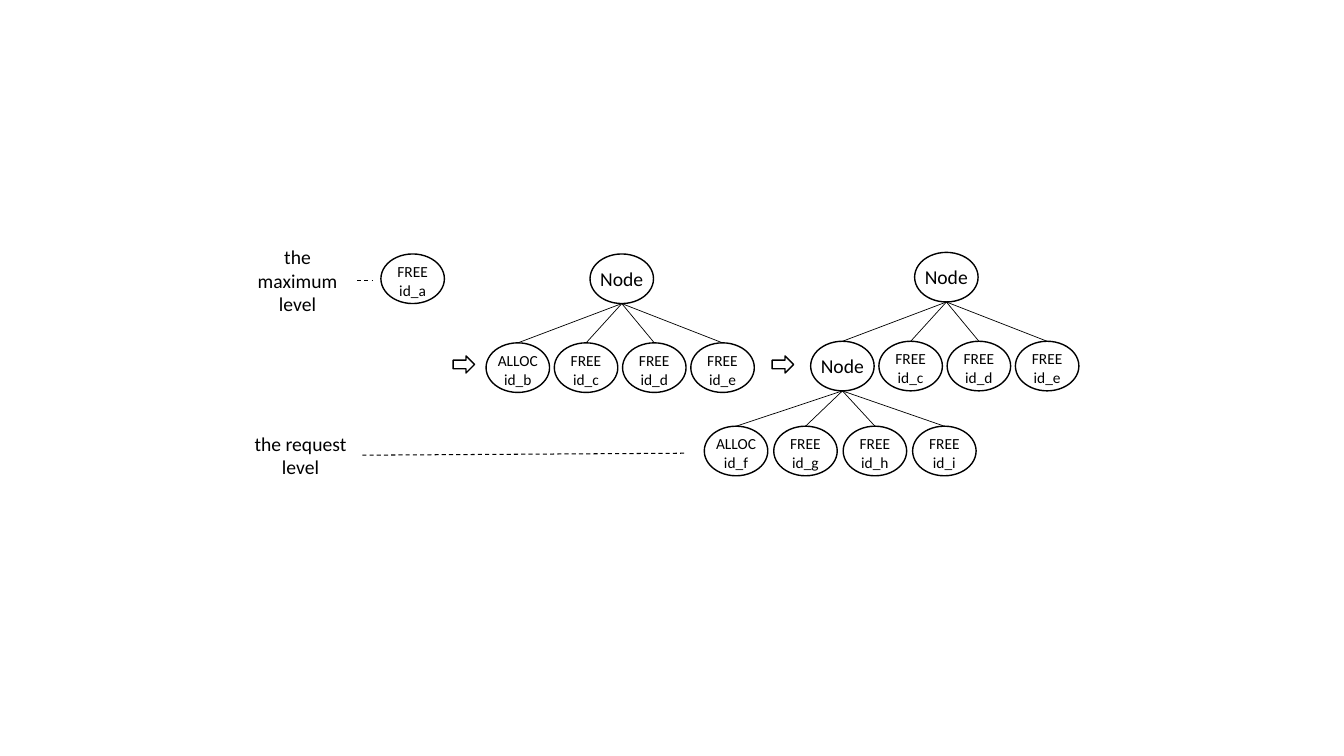
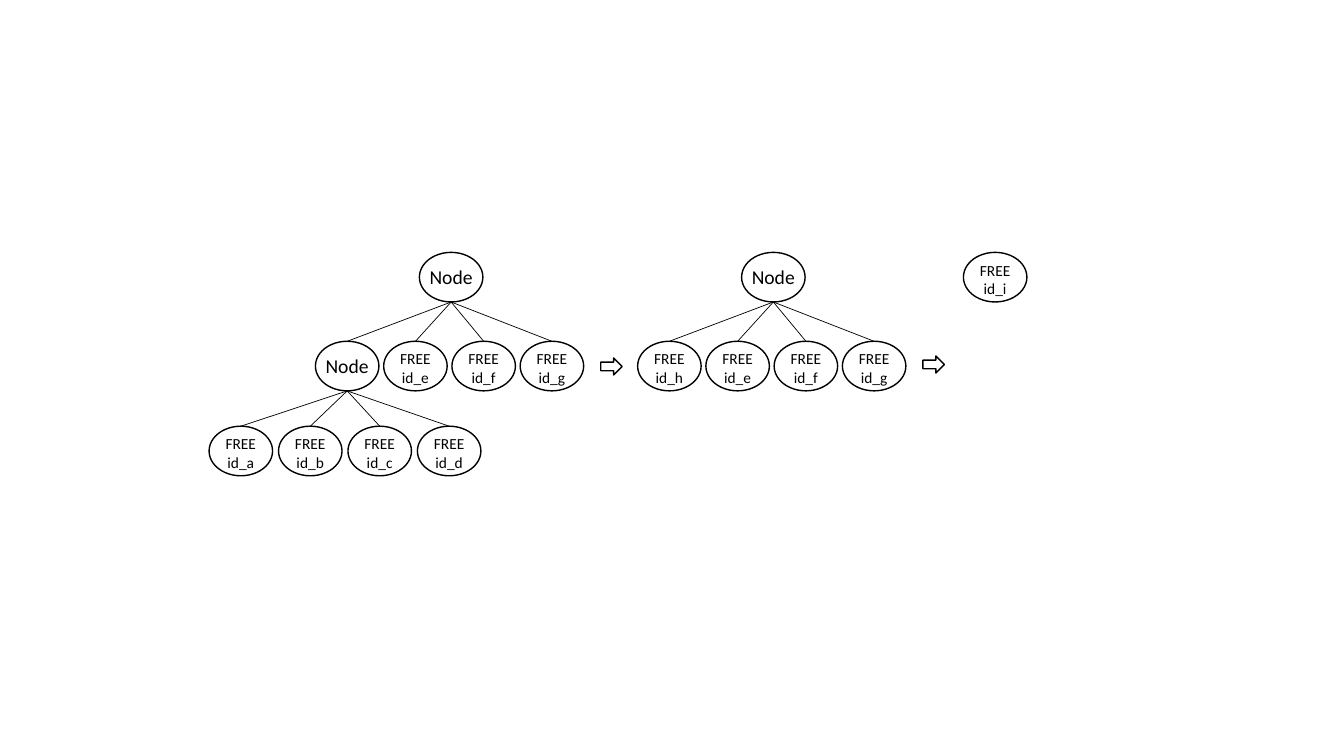
from pptx import Presentation
from pptx.dml.color import RGBColor
from pptx.enum import dml, shapes, text
from pptx.oxml.ns import qn
from pptx.util import Cm, Pt
from lxml import etree

BLACK = RGBColor(0, 0, 0)
WHITE = RGBColor(255, 255, 255)
FONT = "Calibri"
NODE_WIDTH, NODE_HEIGHT = 1.6, 1.25
ROOT_TOP = 6.36
ARROW_TOP = 8.97
NODE = "Node"
LEVELS = [
    {"drop": 2.24, "lead": 2.62, "pitch": 1.72},
    {"drop": 2.14, "lead": 2.68, "pitch": 1.75},
]


def write_text(shape, content, size):
    frame = shape.text_frame
    frame.text = content
    for paragraph in frame.paragraphs:
        paragraph.alignment = text.PP_ALIGN.CENTER
        for run in paragraph.runs:
            run.font.name = FONT
            run.font.size = Pt(size)
            run.font.color.rgb = BLACK
    return frame


def add_outlined(slide, kind, left, top, width, height):
    shape = slide.shapes.add_shape(kind, Cm(left), Cm(top), Cm(width), Cm(height))
    shape.shadow.inherit = False
    shape.fill.solid()
    shape.fill.fore_color.rgb = WHITE
    shape.line.color.rgb = BLACK
    shape.line.width = Pt(1)
    return shape


def add_node(slide, center, top, content):
    left = center - NODE_WIDTH / 2
    shape = add_outlined(slide, shapes.MSO_SHAPE.OVAL, left, top, NODE_WIDTH, NODE_HEIGHT)
    is_inner = content == NODE
    frame = write_text(shape, content, 14 if is_inner else 11)
    frame.word_wrap = False
    frame.vertical_anchor = text.MSO_ANCHOR.MIDDLE
    frame.margin_left = frame.margin_right = frame.margin_bottom = 0
    frame.margin_top = Cm(0 if is_inner else 0.1)


def add_line(slide, start, end, width, dashed=False):
    points = [Cm(value) for value in (*start, *end)]
    line = slide.shapes.add_connector(shapes.MSO_CONNECTOR.STRAIGHT, *points)
    line.line.color.rgb = BLACK
    line.line.width = Pt(width)
    if dashed:
        line.line.dash_style = dml.MSO_LINE.DASH
    etree.SubElement(line._element.spPr, qn("a:effectLst"))


def add_tree(slide, center, top, tree, depth=0):
    if isinstance(tree, str):
        add_node(slide, center, top, tree)
        return
    add_node(slide, center, top, NODE)
    level = LEVELS[depth]
    child_top = top + level["drop"]
    for index, child in enumerate(tree):
        child_center = center - level["lead"] + index * level["pitch"]
        add_line(slide, (center, top + NODE_HEIGHT), (child_center, child_top), 0.5)
        add_tree(slide, child_center, child_top, child, depth + 1)


def add_arrow(slide, left, top=ARROW_TOP):
    add_outlined(slide, shapes.MSO_SHAPE.RIGHT_ARROW, left, top, 0.54, 0.43)


def add_label(slide, content, top, width, height):
    box = slide.shapes.add_textbox(Cm(6), Cm(top), Cm(width), Cm(height))
    write_text(box, content, 14).word_wrap = True


def add_slide(presentation):
    return presentation.slides.add_slide(presentation.slide_layouts[6])


def free(*names):
    return [f"FREE\nid_{name}" for name in names]


def alloc(name):
    return f"ALLOC\nid_{name}"


def build_allocation(presentation):
    slide = add_slide(presentation)
    add_label(slide, "the maximum level", 6.05, 3, 2.06)
    add_label(slide, "the request level", 10.75, 3.15, 1.45)
    add_line(slide, (9, 7.06), (9.37, 7.06), 0.75, dashed=True)
    add_line(slide, (9.13, 11.47), (17.28, 11.42), 0.75, dashed=True)
    add_tree(slide, 10.4, 6.4, *free("a"))
    add_arrow(slide, 11.42)
    add_tree(slide, 15.67, 6.4, [alloc("b"), *free("c", "d", "e")])
    add_arrow(slide, 19.46)
    request = [alloc("f"), *free("g", "h", "i")]
    add_tree(slide, 23.85, ROOT_TOP, [request, *free("c", "d", "e")])


def build_release(presentation):
    slide = add_slide(presentation)
    add_tree(slide, 11.37, ROOT_TOP, [free("a", "b", "c", "d"), *free("e", "f", "g")])
    add_arrow(slide, 15.14, 9.02)
    add_tree(slide, 19.49, ROOT_TOP, free("h", "e", "f", "g"))
    add_arrow(slide, 23.26)
    add_tree(slide, 25.08, ROOT_TOP, *free("i"))


def main():
    presentation = Presentation()
    presentation.slide_width = Cm(33.87)
    presentation.slide_height = Cm(19.05)
    build_allocation(presentation)
    build_release(presentation)
    presentation.save("out.pptx")


if __name__ == "__main__":
    main()
